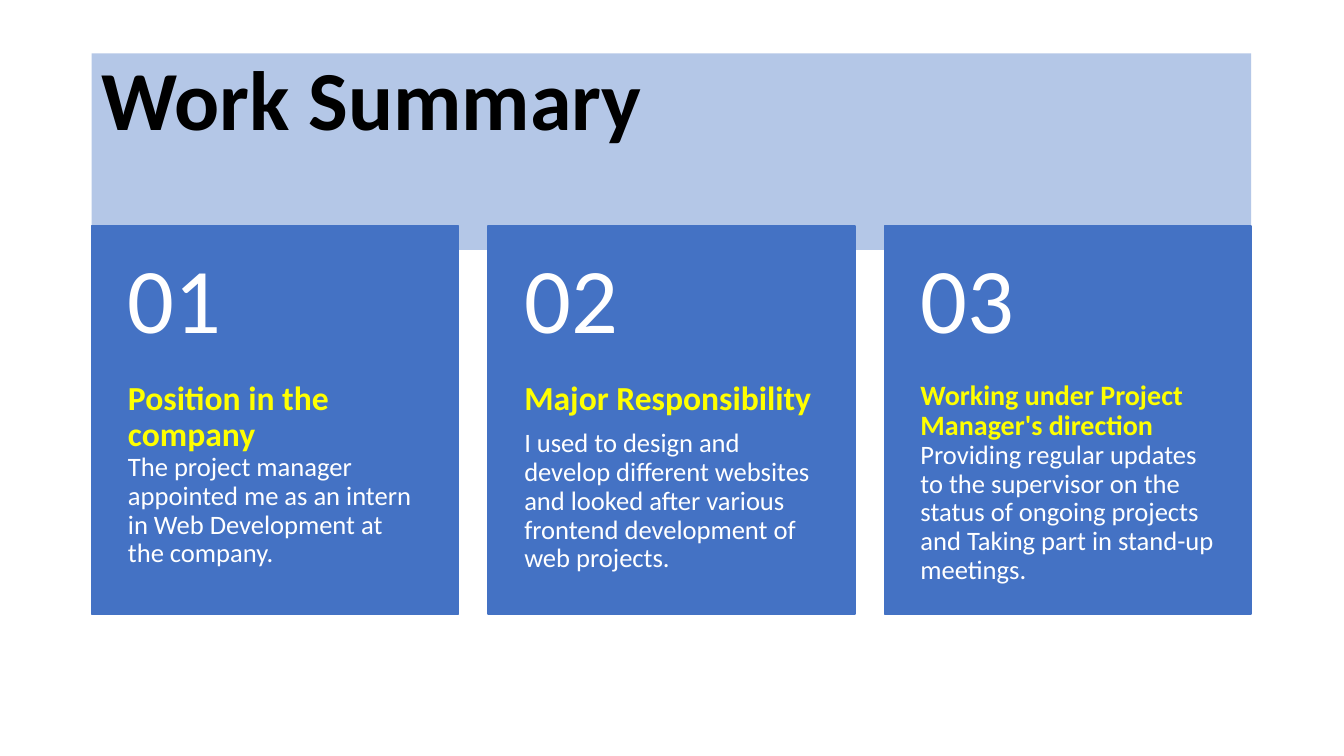
from dataclasses import dataclass

from pptx import Presentation
from pptx.dml.color import RGBColor
from pptx.enum.shapes import MSO_SHAPE
from pptx.enum.text import MSO_ANCHOR, PP_ALIGN
from pptx.util import Inches, Pt

RECTANGLE = MSO_SHAPE.RECTANGLE
TOP = MSO_ANCHOR.TOP
MIDDLE = MSO_ANCHOR.MIDDLE
LEFT = PP_ALIGN.LEFT


@dataclass(frozen=True)
class Theme:
    font: str = "Calibri"
    banner: str = "B4C7E7"
    card: str = "4472C4"
    title: str = "000000"
    heading: str = "FFFF00"
    light: str = "FFFFFF"
    title_size: int = 60
    number_size: int = 66
    body_size: int = 19


theme = Theme()


def add_panel(left, top, width, height, color):
    shape = slide.shapes.add_shape(
        RECTANGLE, Inches(left), Inches(top), Inches(width), Inches(height)
    )
    shape.shadow.inherit = False
    shape.fill.solid()
    shape.fill.fore_color.rgb = RGBColor.from_string(color)
    shape.line.fill.background()
    return shape


def write(frame, text, *, size, color, bold=False, after=0, new=False):
    paragraph = frame.add_paragraph() if new else frame.paragraphs[0]
    paragraph.alignment = LEFT
    paragraph.line_spacing = 0.9
    paragraph.space_after = Pt(after)
    run = paragraph.add_run()
    run.text = text
    run.font.name = theme.font
    run.font.size = Pt(size)
    run.font.bold = bold
    run.font.color.rgb = RGBColor.from_string(color)


presentation = Presentation()
presentation.slide_width = Inches(13.33)
presentation.slide_height = Inches(7.5)
slide = presentation.slides.add_slide(presentation.slide_layouts[6])

margin = 0.91
content_width = 11.5
card_top = 2.24
card_width = 3.64
number_height = 1.54
body_height = 2.31
card_step = (content_width - card_width) / 2
padding = 0.36

banner = add_panel(margin, 0.53, content_width, 1.95, theme.banner)
banner.text_frame.word_wrap = True
banner.text_frame.vertical_anchor = TOP
write(banner.text_frame, "Work Summary",
      size=theme.title_size, color=theme.title, bold=True)

cards = [
    ("Position in the company", 24, 0,
     "The project manager appointed me as an intern in Web Development at the company."),
    ("Major Responsibility", 24, 9,
     "I used to design and develop different websites and looked after various "
     "frontend development of web projects."),
    ("Working under Project Manager's direction", 20, 0,
     "Providing regular updates to the supervisor on the status of ongoing projects "
     "and Taking part in stand-up meetings."),
]

for index, (heading, heading_size, heading_gap, body) in enumerate(cards):
    left = margin + index * card_step
    card = add_panel(left, card_top, card_width, number_height + body_height, theme.card)
    card.line.color.rgb = RGBColor.from_string(theme.card)
    card.line.width = Pt(1)

    frames = []
    for top, height, anchor, inset_top, inset_bottom in (
        (card_top + number_height, body_height, TOP, 0, padding),
        (card_top, number_height, MIDDLE, padding / 2, padding / 2),
    ):
        box = slide.shapes.add_textbox(
            Inches(left), Inches(top), Inches(card_width), Inches(height)
        )
        frame = box.text_frame
        frame.word_wrap = True
        frame.vertical_anchor = anchor
        frame.margin_left = frame.margin_right = Inches(padding)
        frame.margin_top = Inches(inset_top)
        frame.margin_bottom = Inches(inset_bottom)
        frames.append(frame)

    body_frame, number_frame = frames
    write(body_frame, heading, size=heading_size, color=theme.heading,
          bold=True, after=heading_gap)
    write(body_frame, body, size=theme.body_size, color=theme.light, new=True)
    write(number_frame, f"{index + 1:02d}", size=theme.number_size, color=theme.light)

presentation.save("out.pptx")
